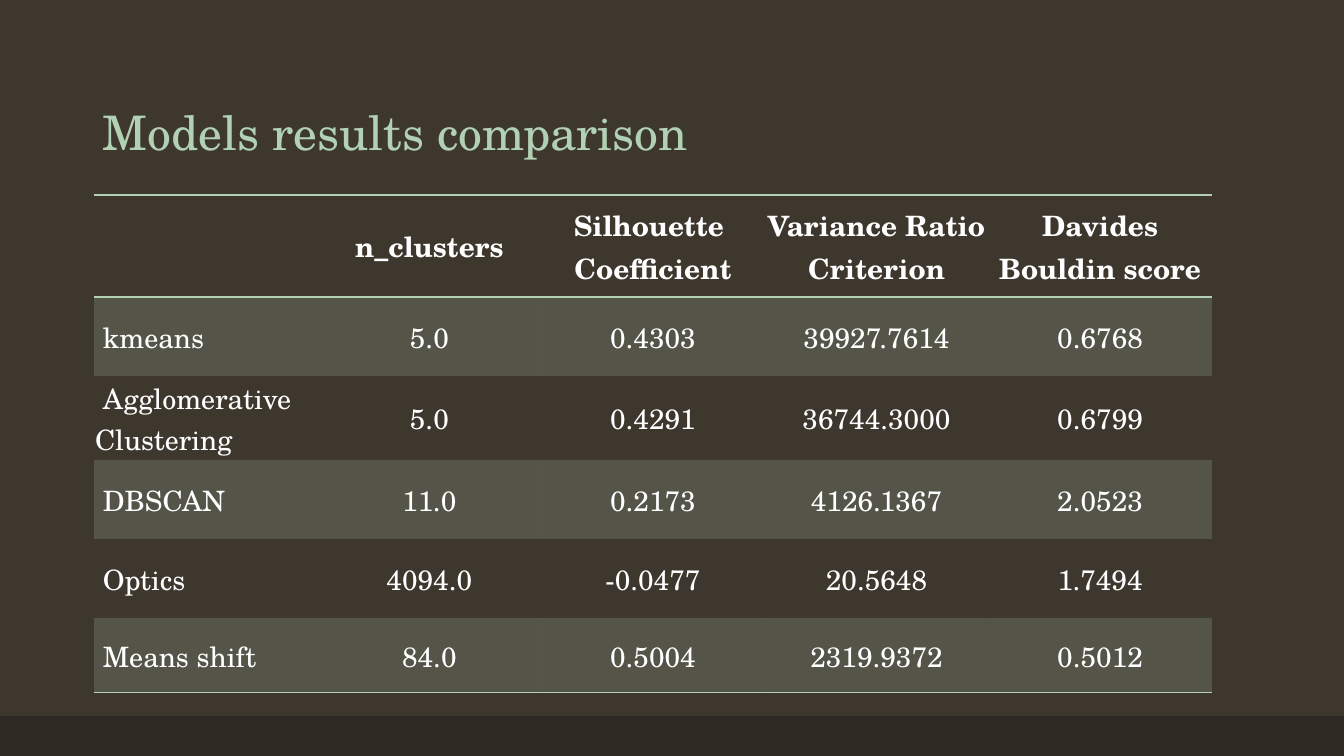
from dataclasses import dataclass

from lxml.etree import SubElement as Sub, fromstring
from pptx import Presentation
from pptx.dml.color import RGBColor as Rgb
from pptx.enum.shapes import MSO_SHAPE as Shape
from pptx.enum.text import MSO_ANCHOR as Anchor, PP_ALIGN as Align
from pptx.oxml.ns import nsdecls, qn
from pptx.util import Pt

TITLE = "Models results comparison"
HEAD = ["", "n_clusters", "Silhouette \nCoefficient",
        "Variance Ratio \nCriterion", "Davides Bouldin score"]
MODELS = [
    (" kmeans", "5.0", "0.4303", "39927.7614", "0.6768"),
    (" Agglomerative\nClustering", "5.0", "0.4291", "36744.3000", "0.6799"),
    (" DBSCAN", "11.0", "0.2173", "4126.1367", "2.0523"),
    (" Optics", "4094.0", "-0.0477", "20.5648", "1.7494"),
    (" Means shift", "84.0", "0.5004", "2319.9372", "0.5012"),
]
ROWS = [HEAD, *MODELS]

WIDE, HIGH = 1344, 756
FOOT = (0, 716, WIDE, 40)
TOP = (93, 40, 1260, 126)
GRID = (94, 195, 1118, 494)
TALL = [102, 79, 84, 79, 79, 75]
PLAIN = "{2D5ABB26-0587-4C30-8999-92F81FD0307C}"


@dataclass(frozen=True)
class Theme:
    font: str = "TeX Gyre Schola"
    back: str = "3D372E"
    foot: str = "2E2923"
    mint: str = "B2D0B4"
    text: str = "FFFFFF"
    title: int = 34
    body: int = 20
    alpha: int = 20


LOOK = Theme()


def px(n):
    return round(n * 12192000 / WIDE)


def box(area):
    return [px(n) for n in area]


def style(para, size, color, bold=False):
    font = para.font
    font.name, font.size, font.bold = LOOK.font, Pt(size), bold
    font.color.rgb = Rgb.from_string(color)


def paint(fill, color):
    fill.solid()
    fill.fore_color.rgb = Rgb.from_string(color)


def edge(cell, tags):
    props = cell._tc.get_or_add_tcPr()
    for spot, tag in enumerate(tags):
        line = fromstring(
            f'<a:{tag} {nsdecls("a")} w="12700"><a:solidFill>'
            f'<a:srgbClr val="{LOOK.mint}"/></a:solidFill></a:{tag}>')
        props.insert(spot, line)


def fill_cell(cell, text, row, col):
    cell.margin_left = cell.margin_right = cell.margin_top = px(1)
    cell.margin_bottom = 0
    cell.vertical_anchor = Anchor.MIDDLE
    cell.text = text
    for para in cell.text_frame.paragraphs:
        para.alignment = Align.CENTER if col else Align.LEFT
        style(para, LOOK.body, LOOK.text, row == 0)
    if row % 2:
        paint(cell.fill, LOOK.mint)
        tint = cell._tc.tcPr.find(".//" + qn("a:srgbClr"))
        Sub(tint, qn("a:alpha"), val=str(LOOK.alpha * 1000))
    else:
        cell.fill.background()
    if row == 0:
        edge(cell, ["lnT", "lnB"])
    elif row == len(ROWS) - 1:
        edge(cell, ["lnB"])


def add_grid(slide):
    frame = slide.shapes.add_table(len(ROWS), len(HEAD), *box(GRID))
    table = frame.table
    table.first_row = table.horz_banding = False
    table._tbl.tblPr.find(qn("a:tableStyleId")).text = PLAIN
    for col in table.columns:
        col.width = px(GRID[2] / len(HEAD))
    for row, tall in zip(table.rows, TALL):
        row.height = px(tall)
    for r, row in enumerate(ROWS):
        for c, text in enumerate(row):
            fill_cell(table.cell(r, c), text, r, c)


def main():
    deck = Presentation()
    deck.slide_width, deck.slide_height = px(WIDE), px(HIGH)
    slide = deck.slides.add_slide(deck.slide_layouts[6])
    paint(slide.background.fill, LOOK.back)

    foot = slide.shapes.add_shape(Shape.RECTANGLE, *box(FOOT))
    foot.shadow.inherit = False
    paint(foot.fill, LOOK.foot)
    foot.line.fill.background()

    frame = slide.shapes.add_textbox(*box(TOP)).text_frame
    frame.word_wrap = True
    frame.vertical_anchor = Anchor.BOTTOM
    frame.text = TITLE
    para = frame.paragraphs[0]
    para.line_spacing = 0.9
    style(para, LOOK.title, LOOK.mint)

    add_grid(slide)
    deck.save("out.pptx")


if __name__ == "__main__":
    main()
